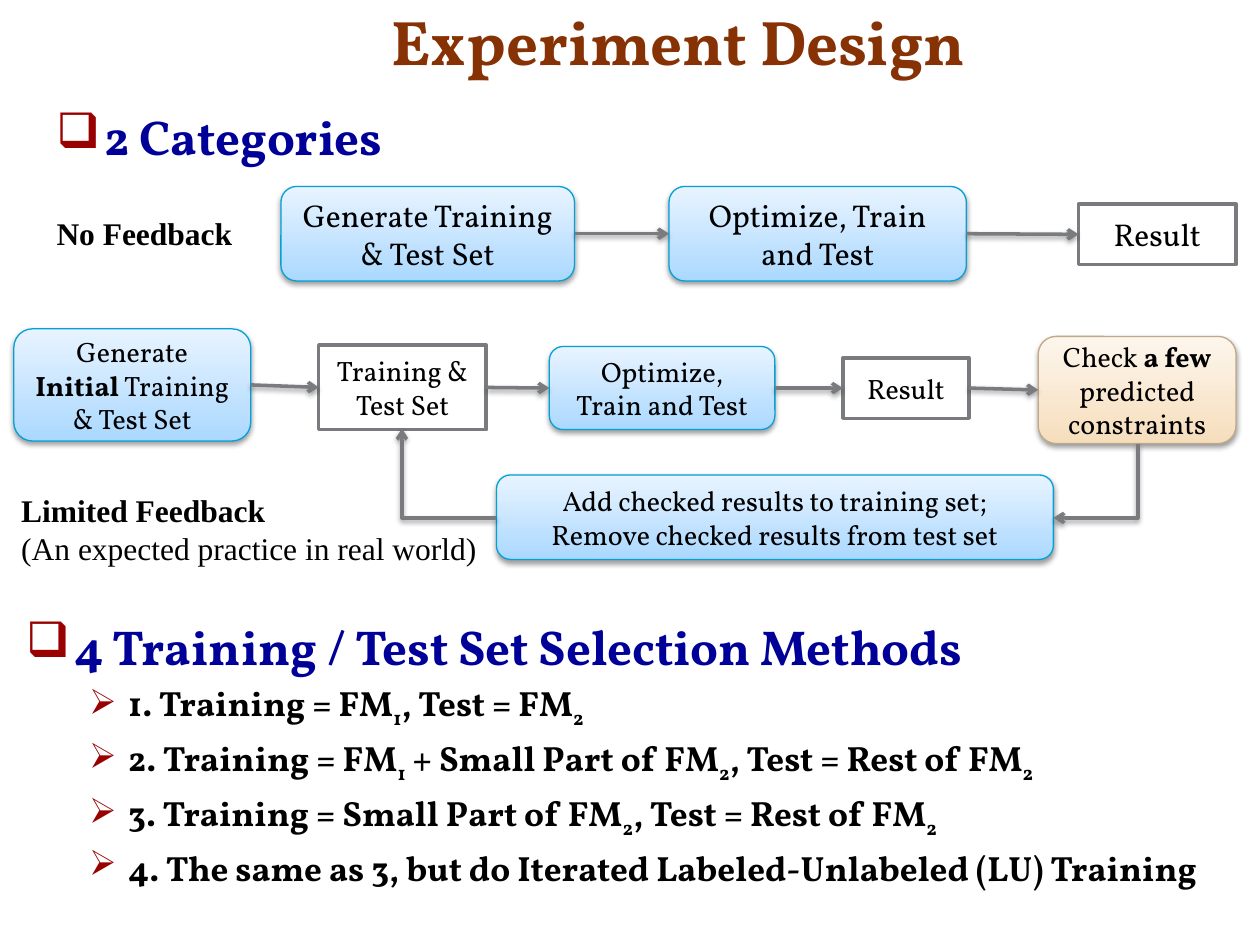
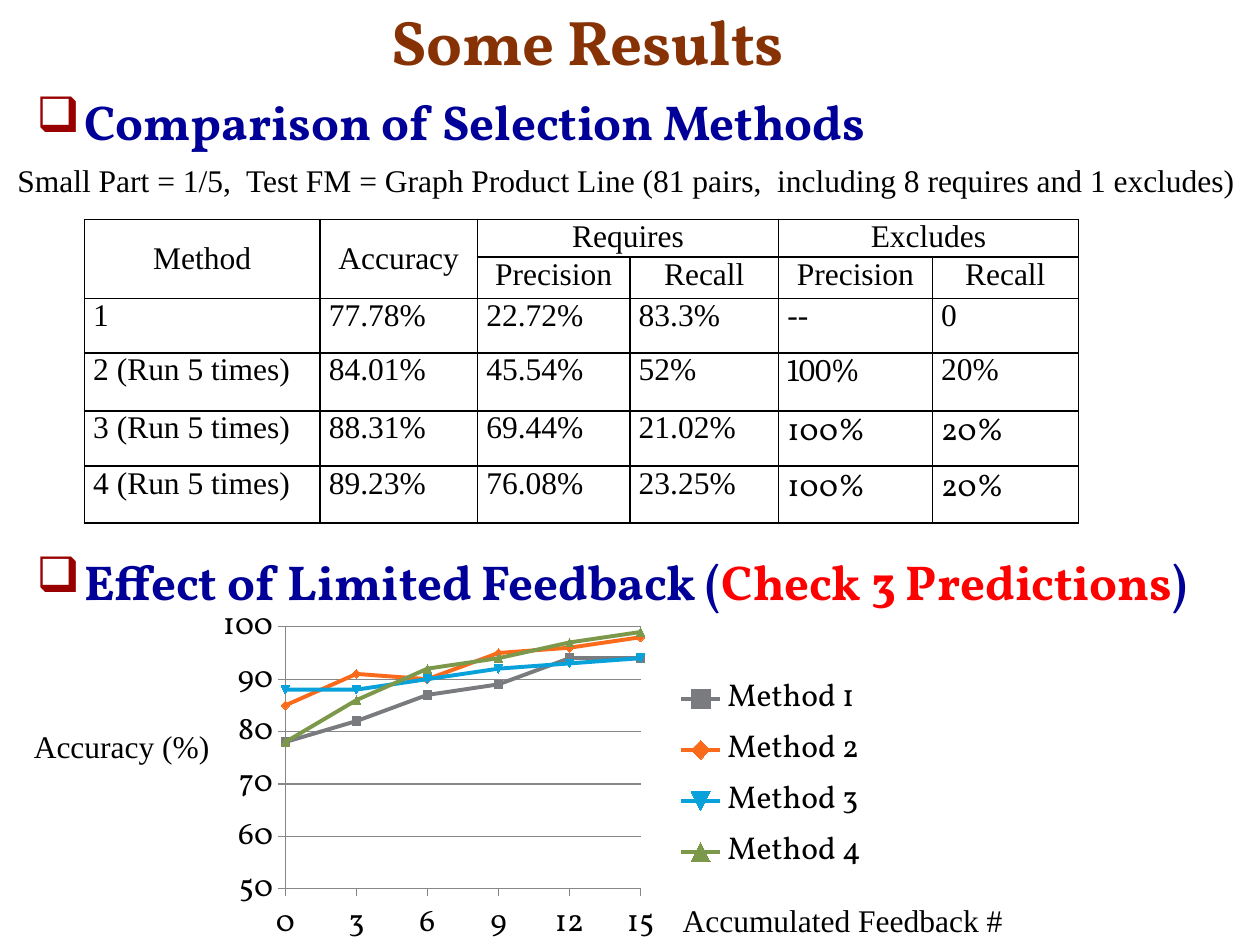
"""Builds two slides: the experiment design flow and the results table and chart."""
from lxml.etree import SubElement
from pptx import Presentation
from pptx.chart.data import CategoryChartData
from pptx.dml.color import RGBColor
from pptx.enum.chart import XL_CHART_TYPE as ChartType, XL_LEGEND_POSITION as LegendPosition
from pptx.enum.chart import XL_TICK_MARK as TickMark
from pptx.enum.shapes import MSO_CONNECTOR as Link, MSO_SHAPE as Preset
from pptx.enum.text import MSO_ANCHOR as Anchor, MSO_AUTO_SIZE as AutoSize, PP_ALIGN as Align
from pptx.oxml import parse_xml
from pptx.oxml.ns import nsdecls, qn
from pptx.util import Inches, Pt

BLACK = RGBColor(0x00, 0x00, 0x00)
WHITE = RGBColor(0xFF, 0xFF, 0xFF)
BROWN = RGBColor(0x86, 0x32, 0x04)
NAVY = RGBColor(0x00, 0x00, 0x99)
RED = RGBColor(0xFF, 0x00, 0x00)
BULLET_RED = RGBColor(0x99, 0x00, 0x00)
GRAY = RGBColor(0x79, 0x7B, 0x7E)
GRID_GRAY = RGBColor(0x87, 0x87, 0x87)
BLUE_LINE = RGBColor(0x03, 0xA0, 0xD9)
BLUE_DEEP = RGBColor(0xAB, 0xD8, 0xFF)
BLUE_PALE = RGBColor(0xE8, 0xF4, 0xFF)
TAN_LINE = RGBColor(0xBF, 0xA9, 0x89)
TAN_DEEP = RGBColor(0xF6, 0xDE, 0xBD)
TAN_PALE = RGBColor(0xFD, 0xF6, 0xEC)
ORANGE = RGBColor(0xF9, 0x6A, 0x1B)
SKY = RGBColor(0x08, 0xA1, 0xD9)
GREEN = RGBColor(0x7C, 0x98, 0x4A)
SERIF = "Times New Roman"
DISPLAY = "Vollkorn"


def write(frame, text, size, font, color=BLACK, bold=False, align=Align.LEFT):
    """Write one paragraph per line and return the runs set between bars."""
    accents = []
    for number, line in enumerate(text.split("\n")):
        para = frame.add_paragraph() if number else frame.paragraphs[0]
        para.alignment = align
        for part, words in enumerate(line.split("|")):
            if not words:
                continue
            span = para.add_run()
            span.text = words
            span.font.size, span.font.name = Pt(size), font
            span.font.color.rgb, span.font.bold = color, bold
            if part % 2:
                accents.append(span)
    return accents


def add_bullet(para, mark, left, hang):
    """Give a paragraph a hanging red bullet and a fifth of a line before it."""
    props = para._p.get_or_add_pPr()
    props.set("marL", str(Inches(left)))
    props.set("indent", str(-Inches(hang)))
    SubElement(SubElement(props, qn("a:spcBef")), qn("a:spcPct")).set("val", "20000")
    SubElement(SubElement(props, qn("a:buClr")), qn("a:srgbClr")).set("val", str(BULLET_RED))
    SubElement(props, qn("a:buChar")).set("char", mark)


deck = Presentation()
deck.slide_width, deck.slide_height = Inches(10), Inches(7.5)
design, results = [deck.slides.add_slide(deck.slide_layouts[6]) for _ in range(2)]

for page, title in ((design, "Experiment Design"), (results, "Some Results")):
    box = page.shapes.add_textbox(Inches(3.01), Inches(-0.03), Inches(6.84), Inches(0.7))
    frame = box.text_frame
    frame.word_wrap, frame.vertical_anchor = True, Anchor.BOTTOM
    frame.auto_size = AutoSize.SHAPE_TO_FIT_TEXT
    write(frame, title, 36, DISPLAY, BROWN, True)

methods = """4 Training / Test Set Selection Methods
1. Training = FM|1|, Test = FM|2|
2. Training = FM|1| + Small Part of FM|2|, Test = Rest of FM|2|
3. Training = Small Part of FM|2|, Test = Rest of FM|2|
4. The same as 3, but do Iterated Labeled-Unlabeled (LU) Training"""
headings = [
    (design, (0.35, 0.8, 9.23, 3.76), "2 Categories"),
    (design, (0.11, 4.84, 9.7, 3.76), methods),
    (results, (0.19, 0.68, 9.66, 3.65), "Comparison of Selection Methods"),
    (results, (0.19, 4.33, 9.66, 3.65), "Effect of Limited Feedback (|Check 3 Predictions|)"),
]
for page, place, text in headings:
    frame = page.shapes.add_textbox(*map(Inches, place)).text_frame
    frame.word_wrap = True
    accents = write(frame, text, 28, DISPLAY, NAVY, True)
    heading, *items = frame.paragraphs
    add_bullet(heading, "❑", 0.38, 0.38)
    for item in items:
        item.level = 1
        add_bullet(item, "➢", 0.81, 0.31)
        for span in item.runs:
            span.font.size, span.font.color.rgb = Pt(20), BLACK
    for span in accents:
        if items:
            span.font._element.set("baseline", "-25000")
        else:
            span.font.color.rgb = RED

labels = [
    (design, (0.35, 1.65, 1.61, 0.4), False, "|No Feedback|"),
    (design, (0.07, 3.85, 3.92, 0.71), False,
     "|Limited Feedback|\n(An expected practice in real world)"),
    (results, (0.04, 1.23, 9.96, 0.4), True,
     "Small Part = 1/5,  Test FM = Graph Product Line (81 pairs,  including 8 requires and 1 excludes)"),
    (results, (0.17, 5.72, 1.61, 0.4), False, "Accuracy (%)"),
    (results, (5.32, 7.1, 2.77, 0.4), False, "Accumulated Feedback #"),
]
for page, place, wrap, text in labels:
    frame = page.shapes.add_textbox(*map(Inches, place)).text_frame
    frame.word_wrap, frame.auto_size = wrap, AutoSize.SHAPE_TO_FIT_TEXT
    for span in write(frame, text, 18, SERIF):
        span.font.bold = True

BLUE = (BLUE_LINE, BLUE_DEEP, BLUE_PALE)
TAN = (TAN_LINE, TAN_DEEP, TAN_PALE)
steps = {
    "generate": ((2.23, 1.48, 2.33, 0.75), BLUE, 18, "Generate Training & Test Set"),
    "optimize": ((5.31, 1.48, 2.36, 0.75), BLUE, 18, "Optimize, Train and Test"),
    "result": ((8.56, 1.62, 1.25, 0.48), None, 18, "Result"),
    "initial": ((0.11, 2.61, 1.88, 0.89), BLUE, 16, "Generate |Initial| Training & Test Set"),
    "sets": ((2.53, 2.74, 1.33, 0.67), None, 16, "Training & Test Set"),
    "retrain": ((4.36, 2.75, 1.79, 0.66), BLUE, 16, "Optimize, Train and Test"),
    "outcome": ((6.69, 2.84, 1, 0.48), None, 16, "Result"),
    "check": ((8.24, 2.67, 1.57, 0.85), TAN, 16, "Check |a few| predicted constraints"),
    "update": ((3.94, 3.77, 4.42, 0.67), BLUE, 16,
               "Add checked results to training set;\nRemove checked results from test set"),
}
nodes, shadowed = {}, []
for name, (place, palette, size, text) in steps.items():
    preset = Preset.ROUNDED_RECTANGLE if palette else Preset.RECTANGLE
    node = nodes[name] = design.shapes.add_shape(preset, *map(Inches, place))
    if palette:
        edge, deep, pale = palette
        node.fill.gradient()
        node.fill.gradient_angle = 90
        for stop, color, position in zip(node.fill.gradient_stops, (deep, pale), (0, 1)):
            stop.color.rgb, stop.position = color, position
        node.line.color.rgb, node.line.width = edge, Pt(0.75)
        shadowed.append(node)
    else:
        node.fill.solid()
        node.fill.fore_color.rgb = WHITE
        node.line.color.rgb, node.line.width = GRAY, Pt(2)
    node.shadow.inherit = False
    node.text_frame.word_wrap, node.text_frame.vertical_anchor = True, Anchor.MIDDLE
    for span in write(node.text_frame, text, size, DISPLAY, align=Align.CENTER):
        span.font.bold = True

arrows = [
    ("generate", 3, "optimize", 1, None),
    ("optimize", 3, "result", 1, None),
    ("initial", 3, "sets", 1, None),
    ("sets", 3, "retrain", 1, None),
    ("retrain", 3, "outcome", 1, None),
    ("outcome", 3, "check", 1, None),
    ("check", 2, "update", 3, (90, 8.4, 3.48, 0.59, 0.67)),
    ("update", 1, "sets", 2, (180, 3.19, 3.4, 0.75, 0.71)),
]
for start, start_side, end, end_side, bend in arrows:
    arrow = design.shapes.add_connector(Link.ELBOW if bend else Link.STRAIGHT, 0, 0, 0, 0)
    arrow.begin_connect(nodes[start], start_side)
    arrow.end_connect(nodes[end], end_side)
    if bend:
        turn, *place = bend
        props = arrow._element.spPr
        props.find(qn("a:prstGeom")).set("prst", "bentConnector2")
        frame = props.find(qn("a:xfrm"))
        for flip in ("flipH", "flipV"):
            frame.attrib.pop(flip, None)
        frame.set("rot", str(turn * 60000))
        arrow.left, arrow.top, arrow.width, arrow.height = map(Inches, place)
    arrow.line.color.rgb, arrow.line.width = GRAY, Pt(2)
    SubElement(arrow.line._get_or_add_ln(), qn("a:tailEnd")).set("type", "arrow")
    SubElement(arrow._element.spPr, qn("a:effectLst"))
    shadowed.append(arrow)

for item in shadowed:
    item._element.spPr.find(qn("a:effectLst")).append(parse_xml(
        f'<a:outerShdw {nsdecls("a")} blurRad="{Pt(3.1)}" dist="{Pt(1.6)}" dir="5400000" '
        'rotWithShape="0"><a:srgbClr val="000000"><a:alpha val="38000"/></a:srgbClr></a:outerShdw>'))

rows = [
    ["Method", "Accuracy", "Requires", "", "Excludes", ""],
    ["", "", "Precision", "Recall", "Precision", "Recall"],
    ["1", "77.78%", "22.72%", "83.3%", "--", "0"],
    ["2 (Run 5 times)", "84.01%", "45.54%", "52%", "100%", "20%"],
    ["3 (Run 5 times)", "88.31%", "69.44%", "21.02%", "100%", "20%"],
    ["4 (Run 5 times)", "89.23%", "76.08%", "23.25%", "100%", "20%"],
]
cell_fonts = {(3, 4): "Cambria", **{(r, c): DISPLAY for r in (4, 5) for c in (4, 5)}}
table = results.shapes.add_table(6, 6, *map(Inches, (0.67, 1.74, 7.88, 2.42))).table
table.first_row = table.horz_banding = False
for column, width in zip(table.columns, (1.87, 1.25, 1.21, 1.18, 1.22, 1.16)):
    column.width = Inches(width)
for row, height in zip(table.rows, (0.29, 0.33, 0.43, 0.46, 0.44, 0.45)):
    row.height = Inches(height)
for r, texts in enumerate(rows):
    for c, text in enumerate(texts):
        cell = table.cell(r, c)
        cell.margin_left = cell.margin_right = Inches(0.07)
        cell.margin_top = cell.margin_bottom = 0
        cell.vertical_anchor = Anchor.MIDDLE if r == 0 and c < 2 else Anchor.TOP
        cell.fill.background()
        write(cell.text_frame, text, 18, cell_fonts.get((r, c), SERIF),
              align=Align.CENTER if r < 2 else Align.LEFT)
        for order, side in enumerate("LRTB"):
            cell._tc.get_or_add_tcPr().insert(order, parse_xml(
                f'<a:ln{side} {nsdecls("a")} w="{Pt(1)}"><a:solidFill>'
                f'<a:srgbClr val="{BLACK}"/></a:solidFill></a:ln{side}>'))
for first, last in (((0, 0), (1, 0)), ((0, 1), (1, 1)), ((0, 2), (0, 3)), ((0, 4), (0, 5))):
    table.cell(*first).merge(table.cell(*last))

data = CategoryChartData()
data.categories = ["0", "3", "6", "9", "12", "15"]
data.add_series("Method 1", (78, 82, 87, 89, 94, 94))
data.add_series("Method 2", (85, 91, 90, 95, 96, 98))
data.add_series("Method 3", (88, 88, 90, 92, 93, 94))
data.add_series("Method 4", (78, 86, 92, 94, 97, 99))
chart = results.shapes.add_chart(
    ChartType.LINE_MARKERS, *map(Inches, (1.68, 4.75, 5.32, 2.81)), data).chart
chart.has_title = False
chart.font.size, chart.font.name, chart.font.color.rgb = Pt(18), DISPLAY, BLACK
chart.has_legend = True
chart.legend.position, chart.legend.include_in_layout = LegendPosition.RIGHT, False
chart.plots[0].vary_by_categories = False
for series, color in zip(chart.plots[0].series, (GRAY, ORANGE, SKY, GREEN)):
    series.smooth = False
    series.format.line.color.rgb, series.format.line.width = color, Pt(2.25)
scale = chart.value_axis
scale.minimum_scale, scale.maximum_scale, scale.major_unit = 50, 100, 10
scale.has_major_gridlines = True
scale.major_gridlines.format.line.color.rgb = GRID_GRAY
for axis in (scale, chart.category_axis):
    axis.major_tick_mark, axis.minor_tick_mark = TickMark.OUTSIDE, TickMark.NONE
    axis.format.line.color.rgb = GRID_GRAY

value_xml = scale._element
crossing = value_xml.find(qn("c:crossBetween"))
if crossing is None:
    crossing = parse_xml(f'<c:crossBetween {nsdecls("c")}/>')
    value_xml.find(qn("c:majorUnit")).addprevious(crossing)
crossing.set("val", "midCat")

plot_xml = chart._chartSpace.chart.plotArea
for old in plot_xml.findall(qn("c:layout")):
    plot_xml.remove(old)
layout = SubElement(plot_xml, qn("c:layout"))
plot_xml.insert(0, layout)
manual = SubElement(layout, qn("c:manualLayout"))
for tag, value in (("layoutTarget", "inner"), ("xMode", "edge"), ("yMode", "edge"),
                   ("x", "0.11"), ("y", "0.08"), ("w", "0.53"), ("h", "0.74")):
    SubElement(manual, qn(f"c:{tag}")).set("val", value)

deck.save("out.pptx")
